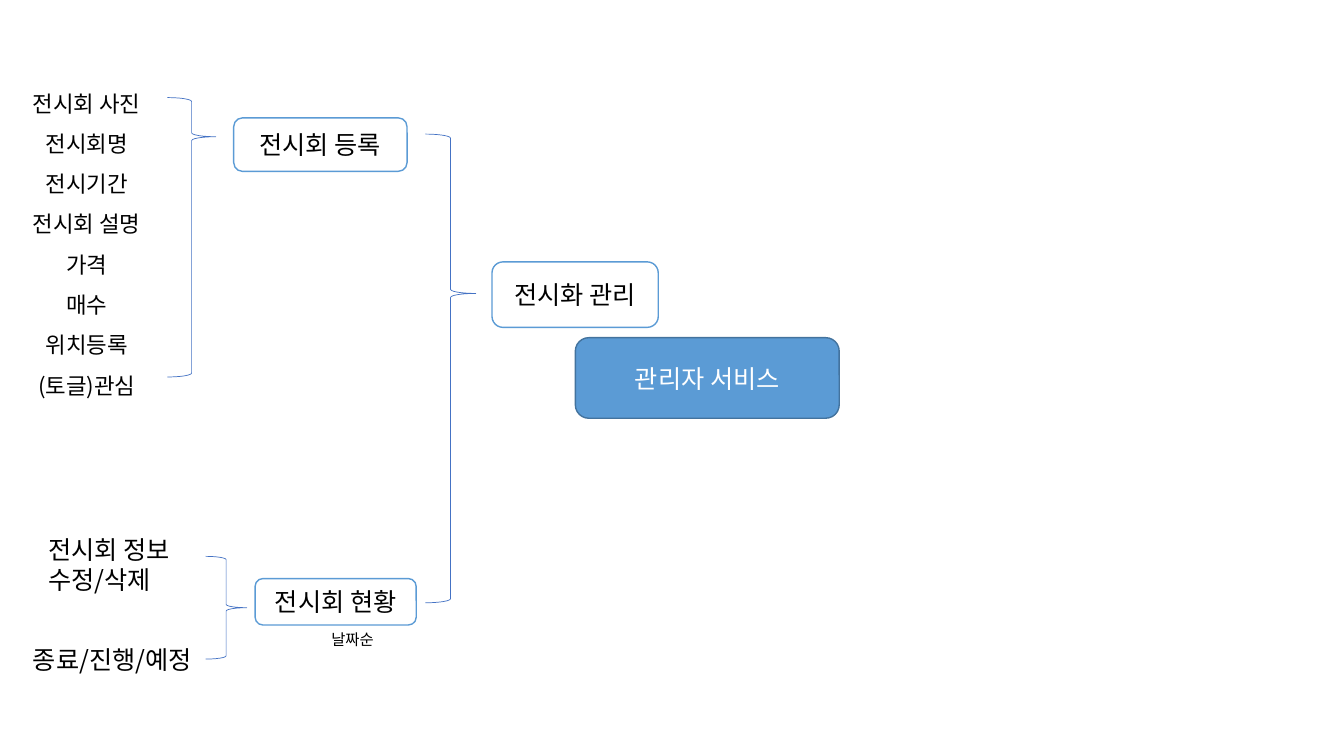
from lxml import etree
from pptx import Presentation
from pptx.dml.color import RGBColor
from pptx.enum.shapes import MSO_SHAPE
from pptx.enum.text import MSO_ANCHOR, MSO_AUTO_SIZE, PP_ALIGN
from pptx.oxml.ns import qn
from pptx.util import Cm, Pt

ROUNDED = MSO_SHAPE.ROUNDED_RECTANGLE
BRACE = MSO_SHAPE.RIGHT_BRACE
CENTER, LEFT = PP_ALIGN.CENTER, PP_ALIGN.LEFT
MIDDLE = MSO_ANCHOR.MIDDLE
FIT_SHAPE = MSO_AUTO_SIZE.SHAPE_TO_FIT_TEXT

FONT = "Noto Sans CJK KR"
BLACK, WHITE = "000000", "FFFFFF"
BLUE, DARK_BLUE, BRACE_BLUE = "5B9BD5", "43739E", "4472C4"

REGISTRATION_FIELDS = [
    "전시회 사진", "전시회명", "전시기간", "전시회 설명",
    "가격", "매수", "위치등록", "(토글)관심",
]


def color(hex_value):
    return RGBColor.from_string(hex_value)


def write_lines(text_frame, lines, size, text_color, align, spacing=None):
    text_frame.word_wrap = True
    text_frame.text = "\n".join(lines)
    for paragraph in text_frame.paragraphs:
        paragraph.alignment = align
        if spacing:
            paragraph.line_spacing = spacing
        for run in paragraph.runs:
            run.font.name = FONT
            run.font.size = Pt(size)
            run.font.color.rgb = color(text_color)
            # Korean glyphs take the East Asian typeface
            east_asian = etree.SubElement(run.font._element, qn("a:ea"))
            east_asian.set("typeface", FONT)


def add_outlined(slide, kind, box, line_color, line_width):
    shape = slide.shapes.add_shape(kind, *map(Cm, box))
    shape.shadow.inherit = False
    shape.line.color.rgb = color(line_color)
    shape.line.width = Pt(line_width)
    return shape


def add_node(slide, box, text, fill=WHITE, line=BLUE, text_color=BLACK):
    shape = add_outlined(slide, ROUNDED, box, line, 1)
    shape.fill.solid()
    shape.fill.fore_color.rgb = color(fill)
    shape.text_frame.vertical_anchor = MIDDLE
    write_lines(shape.text_frame, [text], 18, text_color, CENTER)


def add_brace(slide, box, tip=0.5):
    shape = add_outlined(slide, BRACE, box, BRACE_BLUE, 0.5)
    shape.fill.background()
    shape.adjustments[0] = 0.08
    shape.adjustments[1] = tip


def add_label(slide, box, lines, size=18, align=LEFT, spacing=None):
    text_frame = slide.shapes.add_textbox(*map(Cm, box)).text_frame
    write_lines(text_frame, lines, size, BLACK, align, spacing)
    text_frame.auto_size = FIT_SHAPE


def main():
    presentation = Presentation()
    presentation.slide_width = Cm(33.87)
    presentation.slide_height = Cm(19.05)
    slide = presentation.slides.add_slide(presentation.slide_layouts[6])

    # Root service and its management branch
    add_node(slide, (14.5, 8.51, 6.65, 2.03), "관리자 서비스",
             BLUE, DARK_BLUE, WHITE)
    add_node(slide, (12.4, 6.6, 4.19, 1.65), "전시화 관리")
    add_brace(slide, (10.72, 3.38, 1.27, 11.81), 0.34)

    # Exhibition registration
    add_node(slide, (5.89, 2.97, 4.37, 1.35), "전시회 등록")
    add_brace(slide, (4.22, 2.46, 1.22, 7.04), 0.14)
    add_label(slide, (0.13, 1.8, 4.11, 8.33), REGISTRATION_FIELDS,
              16, CENTER, 1.5)

    # Exhibition status
    add_node(slide, (6.43, 14.58, 4.06, 1.17), "전시회 현황")
    add_label(slide, (8.1, 15.75, 2.06, 0.74), ["날짜순"], 11)
    add_brace(slide, (5.18, 14.02, 1.04, 2.59))
    add_label(slide, (0.97, 13.34, 4.47, 1.8), ["전시회 정보 수정/삭제"])
    add_label(slide, (0.58, 16.1, 5.23, 1.02), ["종료/진행/예정"])

    presentation.save("out.pptx")


main()
